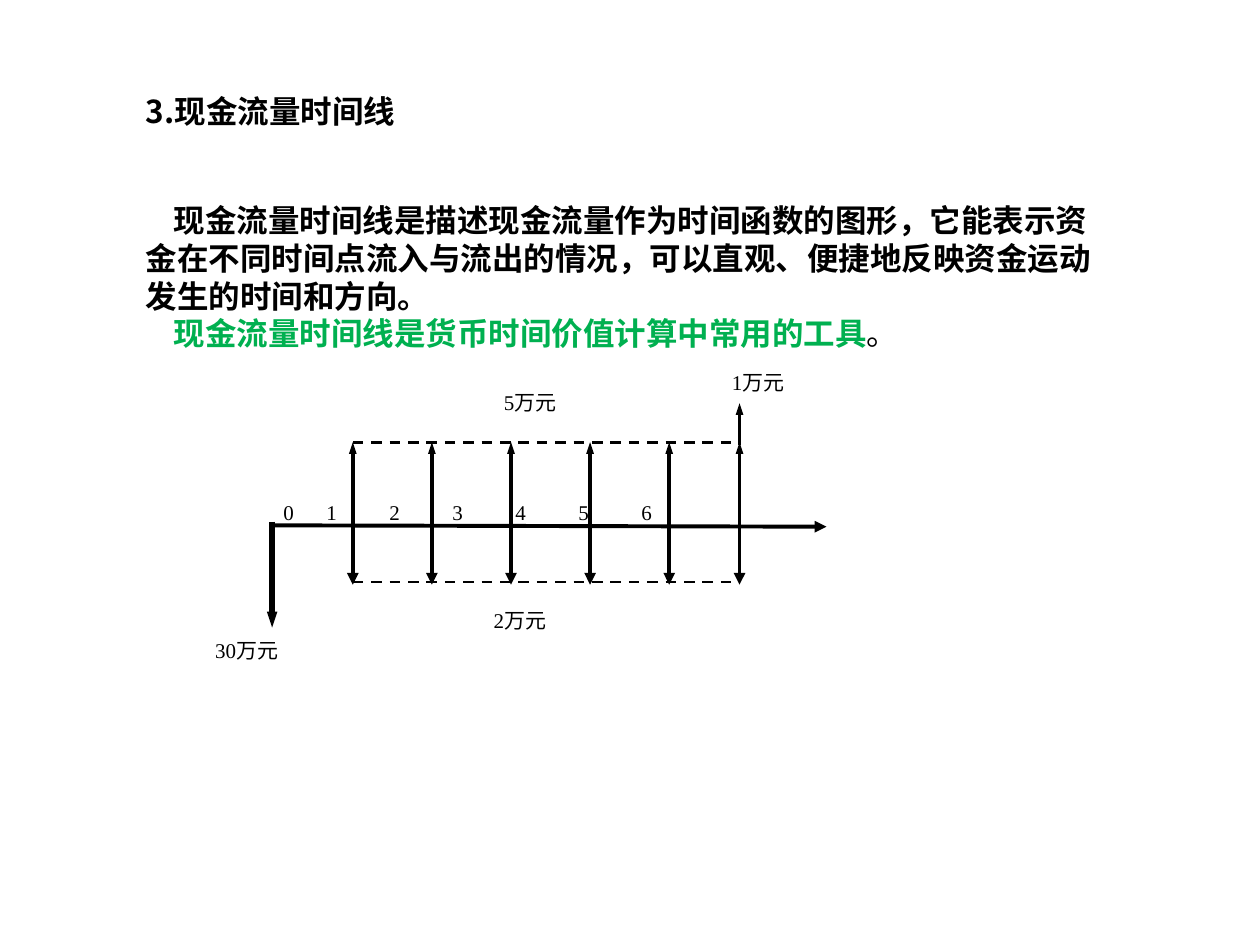
from dataclasses import dataclass

from lxml import etree
from pptx import Presentation
from pptx.dml.color import RGBColor
from pptx.enum.dml import MSO_LINE
from pptx.enum.shapes import MSO_CONNECTOR
from pptx.enum.text import PP_ALIGN
from pptx.oxml.ns import qn
from pptx.util import Pt

STRAIGHT = MSO_CONNECTOR.STRAIGHT
DASH = MSO_LINE.DASH
LEFT, JUSTIFY = PP_ALIGN.LEFT, PP_ALIGN.JUSTIFY


@dataclass(frozen=True)
class Theme:
    ink: str = "000000"
    green: str = "00B050"
    sans: str = "Noto Sans CJK SC"
    arial: str = "Arial"
    serif: str = "Times New Roman"
    body: float = 18
    label: float = 12
    thin: float = 0.75
    dash: float = 1.5
    bold: float = 2.25
    heavy: float = 3


THEME = Theme()

# Flow chart grid, in points
YEARS = [201.6 + 45.2 * i for i in range(5)] + [422.6]
TOP, AXIS, LOW = 252.7, 301, 334.1
TICK, BASE = 287.3, 298.1
DIGITS = [59.8, 110.9, 149.8, 197.3, 239, 272.2]


def add_run(para, text, font=THEME.sans, size=THEME.body,
            color=THEME.ink, bold=True):
    run = para.add_run()
    run.text = text
    run.font.name = font
    run.font.size = Pt(size)
    run.font.bold = bold
    run.font.color.rgb = RGBColor.from_string(color)
    east = etree.SubElement(run.font._element, qn("a:ea"))
    east.set("typeface", THEME.sans)


def add_text(slide, box, paras, align=LEFT, pitch=21.5, first=0,
             margins=(7.2, 3.6, 7.2, 3.6), tabs=()):
    """Each paragraph is a list of (text, run format) pairs."""
    frame = slide.shapes.add_textbox(*map(Pt, box)).text_frame
    frame.word_wrap = True
    (frame.margin_left, frame.margin_top,
     frame.margin_right, frame.margin_bottom) = map(Pt, margins)
    for i, runs in enumerate(paras):
        para = frame.paragraphs[0] if i == 0 else frame.add_paragraph()
        para.alignment = align
        para.line_spacing = Pt(pitch)
        props = para._p.get_or_add_pPr()
        props.set("indent", str(Pt(first)))
        if tabs:
            stops = etree.SubElement(props, qn("a:tabLst"))
            for pos in tabs:
                etree.SubElement(stops, qn("a:tab"), pos=str(Pt(pos)), algn="l")
        for text, form in runs:
            add_run(para, text, **form)


def add_label(slide, box, text, **form):
    style = dict(font=THEME.serif, size=THEME.label, bold=False)
    add_text(slide, box, [[(text, style)]], align=JUSTIFY, pitch=14.5, **form)


def add_line(slide, start, end, width, head=None, dash=None):
    """Head is the arrowhead's width: sm or med."""
    line = slide.shapes.add_connector(STRAIGHT, *map(Pt, (*start, *end)))
    line.line.width = Pt(width)
    line.line.color.rgb = RGBColor.from_string(THEME.ink)
    if dash:
        line.line.dash_style = dash
    props = line._element.spPr
    if head:
        etree.SubElement(props.find(qn("a:ln")), qn("a:tailEnd"),
                         type="triangle", w=head, len="med")
    etree.SubElement(props, qn("a:effectLst"))


def add_prose(slide):
    arial = dict(font=THEME.arial)
    add_text(slide, (76.3, 49, 346.3, 28.8),
             [[("3.", {}), ("现金流量时间线", dict(font="Calibri"))]])
    add_text(slide, (76.3, 111.6, 561.6, 94.3), [
        [("现金流量时间线", {}),
         ("是描述现金流量作为时间函数的图形，它能表示资金在不同时间点流入与流出的情况，"
          "可以直观、便捷地反映资金运动发生的时间和方向。", arial)],
        [("现金流量时间线", dict(color=THEME.green)),
         ("是货币时间价值计算中常用的工具", dict(color=THEME.green, **arial)),
         ("。", dict(font=THEME.serif, bold=False))],
    ], first=16)


def add_flows(slide):
    add_line(slide, (154.1, 300.2), (472.3, AXIS), THEME.bold, "med")
    add_line(slide, (155.5, BASE), (155.5, 358.6), THEME.heavy, "sm")
    for x in YEARS:
        add_line(slide, (x, TICK), (x, BASE), THEME.thin)
        add_line(slide, (x, BASE), (x, LOW), THEME.bold, "med")
        add_line(slide, (x, AXIS), (x, TOP), THEME.bold, "sm")
    last = YEARS[-1]
    add_line(slide, (last, 254.2), (last, 230.4), THEME.bold, "sm")
    for y in (TOP, 332.6):
        add_line(slide, (YEARS[0], y), (last, y), THEME.dash, dash=DASH)


def add_labels(slide):
    for text, box in (("30万元", (115.9, 360.7, 76.3, 36)),
                      ("5万元", (280.8, 218.9, 65.5, 36)),
                      ("2万元", (275, 343.4, 76.3, 36)),
                      ("1万元", (411.1, 207.4, 51.8, 22.3))):
        add_label(slide, box, text)
    add_label(slide, (150.5, 281.5, 300.2, 22.3), "0\t1\t2\t3\t4\t5\t6",
              first=11.5, margins=(0, 3.6, 0, 0), tabs=DIGITS)


def main():
    deck = Presentation()
    deck.slide_width, deck.slide_height = Pt(720), Pt(540)
    slide = deck.slides.add_slide(deck.slide_layouts[6])
    add_prose(slide)
    add_flows(slide)
    add_labels(slide)
    deck.save("out.pptx")


if __name__ == "__main__":
    main()
